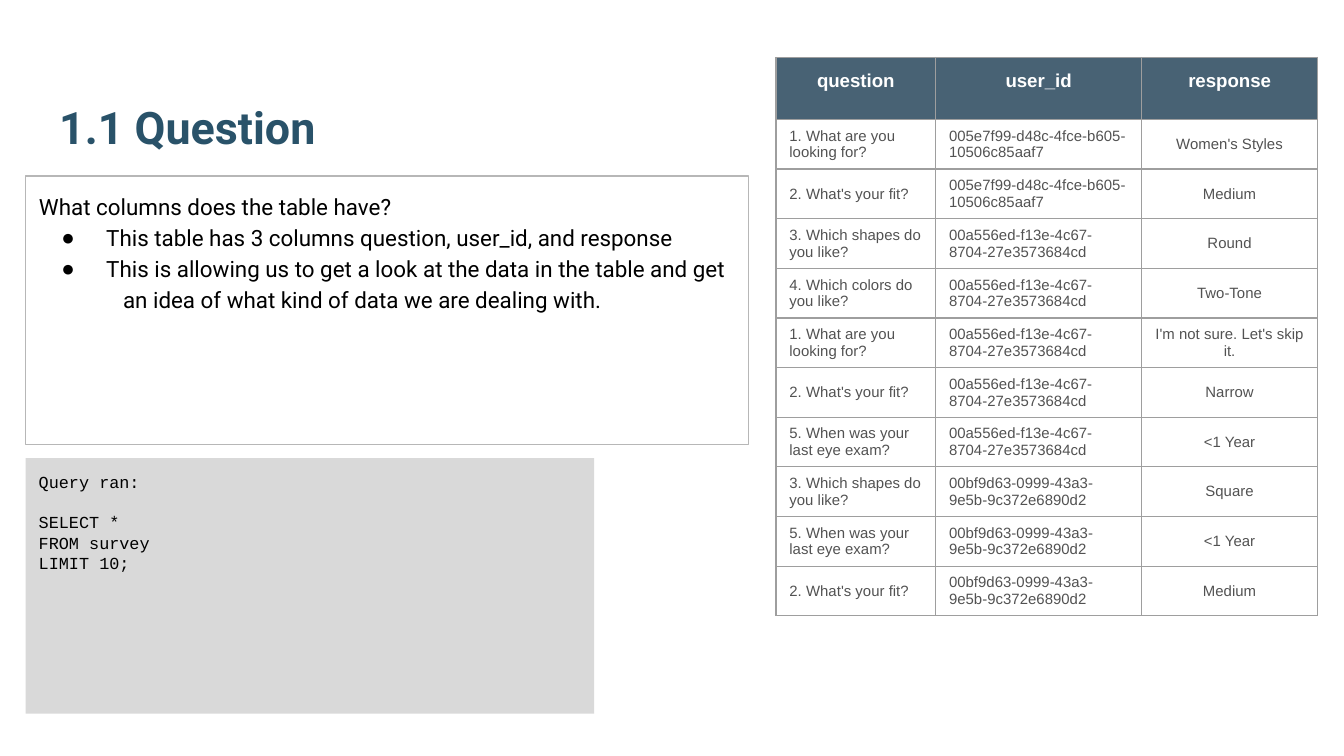
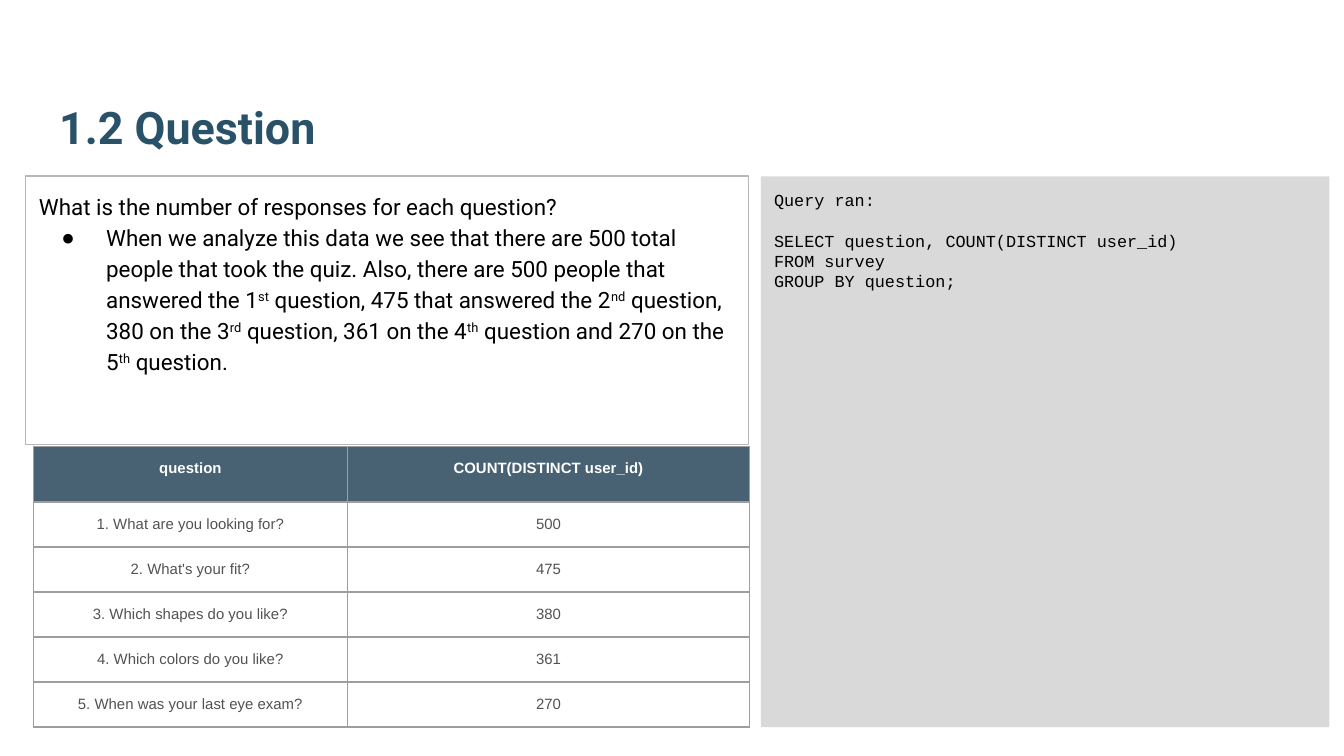
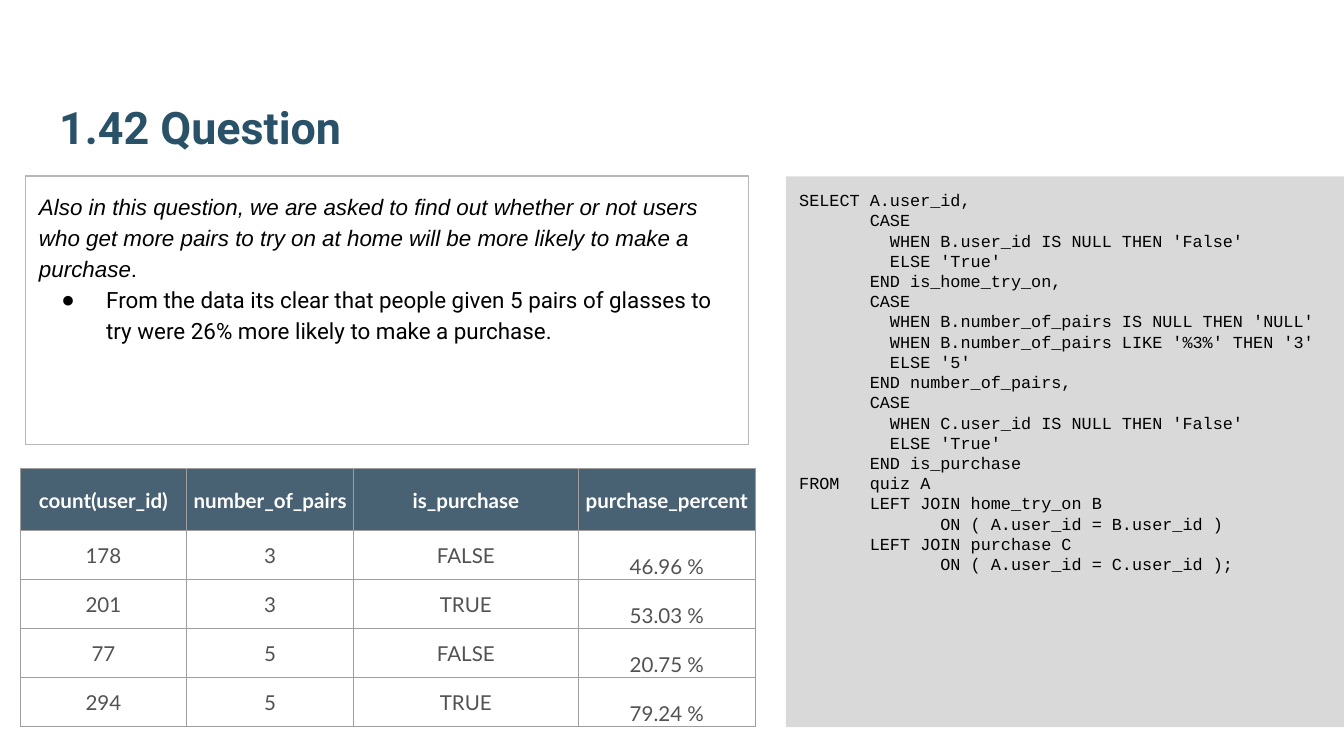
from dataclasses import dataclass

from lxml.etree import SubElement
from pptx import Presentation
from pptx.dml.color import RGBColor
from pptx.enum.shapes import MSO_SHAPE as Preset
from pptx.enum.text import MSO_ANCHOR as Anchor, MSO_AUTO_SIZE as AutoSize, PP_ALIGN as Align
from pptx.oxml.ns import qn
from pptx.util import Pt


@dataclass(frozen=True)
class Theme:
    title: str = "295269"
    ink: str = "000000"
    code_fill: str = "D9D9D9"
    box_line: str = "B7B7B7"
    header_fill: str = "204056"
    header_alpha: int = 82000
    header_ink: str = "FFFFFF"
    cell_ink: str = "525252"
    grid: str = "9E9E9E"
    sans: str = "Roboto"
    table_font: str = "Arial"
    code_font: str = "Courier New"
    title_size: float = 24
    body_size: float = 12
    code_size: float = 9
    line: float = 0.75
    inset: float = 7.2


THEME = Theme()

# Shared layout: left, top, width, height
TITLE_BOX = (24.5, 23, 671, 66.3)
ANSWER_BOX = (13.7, 94.3, 387.4, 144)
CODE_WIDTH = 304.6

# Content
FIT = "2. What's your fit?"
LOOKING = "1. What are you looking for?"
SHAPES = "3. Which shapes do you like?"
COLORS = "4. Which colors do you like?"
EXAM = "5. When was your last eye exam?"
USER_A = "005e7f99-d48c-4fce-b605-10506c85aaf7"
USER_B = "00a556ed-f13e-4c67-8704-27e3573684cd"
USER_C = "00bf9d63-0999-43a3-9e5b-9c372e6890d2"


def ordinal(suffix):
    return suffix, {"baseline": 30000}


PAIRS_QUERY = """\
SELECT A.user_id,
       CASE
         WHEN B.user_id IS NULL THEN 'False'
         ELSE 'True'
       END is_home_try_on,
       CASE
         WHEN B.number_of_pairs IS NULL THEN 'NULL'
         WHEN B.number_of_pairs LIKE '%3%' THEN '3'
         ELSE '5'
       END number_of_pairs,
       CASE
         WHEN C.user_id IS NULL THEN 'False'
         ELSE 'True'
       END is_purchase
FROM   quiz A
       LEFT JOIN home_try_on B
              ON ( A.user_id = B.user_id )
       LEFT JOIN purchase C
              ON ( A.user_id = C.user_id );"""

SLIDES = [
    {
        "title": "1.1 Question",
        "question": "What columns does the table have?",
        "answers": [
            "This table has 3 columns question, user_id, and response",
            "This is allowing us to get a look at the data in the table and get"
            "\v\tan idea of what kind of data we are dealing with.",
        ],
        "label": "Query ran:",
        "query": "SELECT *\nFROM survey\nLIMIT 10;",
        "code_box": (13.7, 245.5, CODE_WIDTH, 136.8),
        "table": {
            "at": (415.7, 30.8), "columns": (85.5, 110.4, 94.3),
            "header_height": 33.2, "row_height": 26.6,
            "header_size": 10, "size": 8, "left_columns": (0, 1),
            "rows": [
                ("question", "user_id", "response"),
                (LOOKING, USER_A, "Women's Styles"),
                (FIT, USER_A, "Medium"),
                (SHAPES, USER_B, "Round"),
                (COLORS, USER_B, "Two-Tone"),
                (LOOKING, USER_B, "I'm not sure. Let's skip it."),
                (FIT, USER_B, "Narrow"),
                (EXAM, USER_B, "<1 Year"),
                (SHAPES, USER_C, "Square"),
                (EXAM, USER_C, "<1 Year"),
                (FIT, USER_C, "Medium"),
            ],
        },
    },
    {
        "title": "1.2 Question",
        "question": "What is the number of responses for each question?",
        "answers": [[
            "When we analyze this data we see that there are 500 total people that "
            "took the quiz. Also, there are 500 people that answered the 1", ordinal("st"),
            " question, 475 that answered the 2", ordinal("nd"),
            " question, 380 on the 3", ordinal("rd"),
            " question, 361 on the 4", ordinal("th"),
            " question and 270 on the 5", ordinal("th"), " question.",
        ]],
        "label": "Query ran:",
        "query": "SELECT question, COUNT(DISTINCT user_id)\nFROM survey\nGROUP BY question;",
        "code_box": (407.6, 94.5, CODE_WIDTH, 295),
        "table": {
            "at": (17.9, 239.1), "columns": (168.3, 215.4),
            "header_height": 29.9, "row_height": 24.1,
            "header_size": 8, "size": 8,
            "rows": [
                ("question", "COUNT(DISTINCT user_id)"),
                (LOOKING, "500"), (FIT, "475"), (SHAPES, "380"),
                (COLORS, "361"), (EXAM, "270"),
            ],
        },
    },
    {
        "title": "1.42 Question",
        "question": [
            ("Also in this question, we are asked to find out whether or not users who get "
             "more pairs to try on at home will be more likely to make a purchase",
             {"font": "Arial", "italic": True}), "."],
        "answers": ["From the data its clear that people given 5 pairs of glasses to try "
                    "were 26% more likely to make a purchase."],
        "query": PAIRS_QUERY,
        "code_box": (421.1, 94.5, CODE_WIDTH, 295),
        "table": {
            "at": (10.8, 251.1), "columns": (89.3, 89.3, 120.4, 95),
            "header_height": 33, "row_height": 26.3,
            "header_size": 11, "size": 11, "font": "Lato",
            "insets": (0.7, 0.7, 0.7, 0), "header_anchor": Anchor.MIDDLE,
            "bottom_columns": (3,),
            "rows": [
                ("count(user_id)", "number_of_pairs", "is_purchase", "purchase_percent"),
                ("178", "3", "FALSE", "46.96 %"),
                ("201", "3", "TRUE", "53.03 %"),
                ("77", "5", "FALSE", "20.75 %"),
                ("294", "5", "TRUE", "79.24 %"),
            ],
        },
    },
]


# Text
def write(paragraph, content, *, font, size, color, bold=False, italic=False,
          baseline=0, align=Align.LEFT, spacing=1.0, before=0):
    """Fill a paragraph with a string, or a list of strings and (string, format) runs."""
    paragraph.alignment = align
    paragraph.line_spacing = spacing
    paragraph.space_before = Pt(before)
    base = {"font": font, "italic": italic, "baseline": baseline}
    for part in [content] if isinstance(content, str) else content:
        text, changes = (part, {}) if isinstance(part, str) else part
        style = {**base, **changes}
        for number, line in enumerate(text.split("\v")):
            if number:
                paragraph.add_line_break()
            run = paragraph.add_run()
            run.text = line
            run.font.name = style["font"]
            run.font.size = Pt(size)
            run.font.bold = bold
            run.font.italic = style["italic"]
            run.font.color.rgb = RGBColor.from_string(color)
            if style["baseline"]:
                run.font._element.set("baseline", str(style["baseline"]))


def set_bullet(paragraph, bulleted):
    properties = paragraph._p.get_or_add_pPr()
    properties.set("marL", str(Pt(36 if bulleted else 0)))
    properties.set("indent", str(Pt(-24 if bulleted else 0)))
    if bulleted:
        color = SubElement(properties, qn("a:buClr"))
        SubElement(color, qn("a:srgbClr"), val=THEME.ink)
        SubElement(properties, qn("a:buChar"), char="●")
        tabs = SubElement(properties, qn("a:tabLst"))
        SubElement(tabs, qn("a:tab"), pos=str(Pt(45)), algn="l")
    else:
        SubElement(properties, qn("a:buNone"))


def prepare(shape, anchor=Anchor.TOP):
    frame = shape.text_frame
    frame.auto_size = AutoSize.NONE
    frame.word_wrap = True
    frame.vertical_anchor = anchor
    frame.margin_left = frame.margin_top = Pt(THEME.inset)
    frame.margin_right = frame.margin_bottom = Pt(THEME.inset)
    return frame


def paragraphs_for(frame, contents):
    for number, content in enumerate(contents):
        yield number, (frame.add_paragraph() if number else frame.paragraphs[0]), content


def place(shape, box):
    shape.left, shape.top, shape.width, shape.height = (Pt(value) for value in box)


# Slide parts
def add_title(slide, text):
    title = slide.shapes.title
    place(title, TITLE_BOX)
    write(prepare(title, Anchor.BOTTOM).paragraphs[0], text, font=THEME.sans,
          size=THEME.title_size, color=THEME.title, bold=True)


def add_answer(slide, question, answers):
    body = slide.placeholders[1]
    place(body, ANSWER_BOX)
    body.line.color.rgb = RGBColor.from_string(THEME.box_line)
    body.line.width = Pt(THEME.line)
    for number, paragraph, content in paragraphs_for(prepare(body), [question, *answers]):
        set_bullet(paragraph, number > 0)
        write(paragraph, content, font=THEME.sans, size=THEME.body_size,
              color=THEME.ink, spacing=1.15)


def add_code(slide, box, query, label=None):
    panel = slide.shapes.add_shape(Preset.RECTANGLE, *(Pt(value) for value in box))
    panel.shadow.inherit = False
    panel.fill.solid()
    panel.fill.fore_color.rgb = RGBColor.from_string(THEME.code_fill)
    panel.line.fill.background()
    lines = ([label] if label else []) + query.split("\n")
    for number, paragraph, line in paragraphs_for(prepare(panel), lines):
        gap = 10.8 if label and number == 1 else 0
        write(paragraph, line, font=THEME.code_font, size=THEME.code_size,
              color=THEME.ink, before=gap)


def format_cell(cell, is_header):
    properties = cell._tc.get_or_add_tcPr()
    for side in ("a:lnL", "a:lnR", "a:lnT", "a:lnB"):
        border = SubElement(properties, qn(side), w=str(Pt(THEME.line)))
        SubElement(SubElement(border, qn("a:solidFill")), qn("a:srgbClr"), val=THEME.grid)
    if is_header:
        cell.fill.solid()
        cell.fill.fore_color.rgb = RGBColor.from_string(THEME.header_fill)
        color = properties.find(qn("a:solidFill")).find(qn("a:srgbClr"))
        SubElement(color, qn("a:alpha"), val=str(THEME.header_alpha))
    else:
        cell.fill.background()


def add_grid(slide, at, columns, header_height, row_height, header_size, size, rows,
             font=THEME.table_font, insets=None, header_anchor=Anchor.TOP,
             left_columns=(), bottom_columns=()):
    heights = [header_height] + [row_height] * (len(rows) - 1)
    box = (*at, sum(columns), sum(heights))
    table = slide.shapes.add_table(len(rows), len(columns), *(Pt(v) for v in box)).table
    for column, width in zip(table.columns, columns):
        column.width = Pt(width)
    for row_number, (row, height, values) in enumerate(zip(table.rows, heights, rows)):
        row.height = Pt(height)
        is_header = row_number == 0
        margins = insets or ((THEME.inset,) * 4 if is_header else (7.2, 3.6, 7.2, 3.6))
        for column_number, (cell, value) in enumerate(zip(row.cells, values)):
            format_cell(cell, is_header)
            (cell.margin_left, cell.margin_top,
             cell.margin_right, cell.margin_bottom) = (Pt(margin) for margin in margins)
            body_anchor = Anchor.BOTTOM if column_number in bottom_columns else Anchor.MIDDLE
            cell.vertical_anchor = header_anchor if is_header else body_anchor
            is_left = column_number in left_columns and not is_header
            write(cell.text_frame.paragraphs[0], value, font=font, bold=is_header,
                  size=header_size if is_header else size,
                  color=THEME.header_ink if is_header else THEME.cell_ink,
                  align=Align.LEFT if is_left else Align.CENTER)


def main():
    presentation = Presentation()
    presentation.slide_width, presentation.slide_height = Pt(720), Pt(405)
    for content in SLIDES:
        slide = presentation.slides.add_slide(presentation.slide_layouts[1])
        add_title(slide, content["title"])
        add_code(slide, content["code_box"], content["query"], content.get("label"))
        add_answer(slide, content["question"], content["answers"])
        add_grid(slide, **content["table"])
    presentation.save("out.pptx")


if __name__ == "__main__":
    main()
